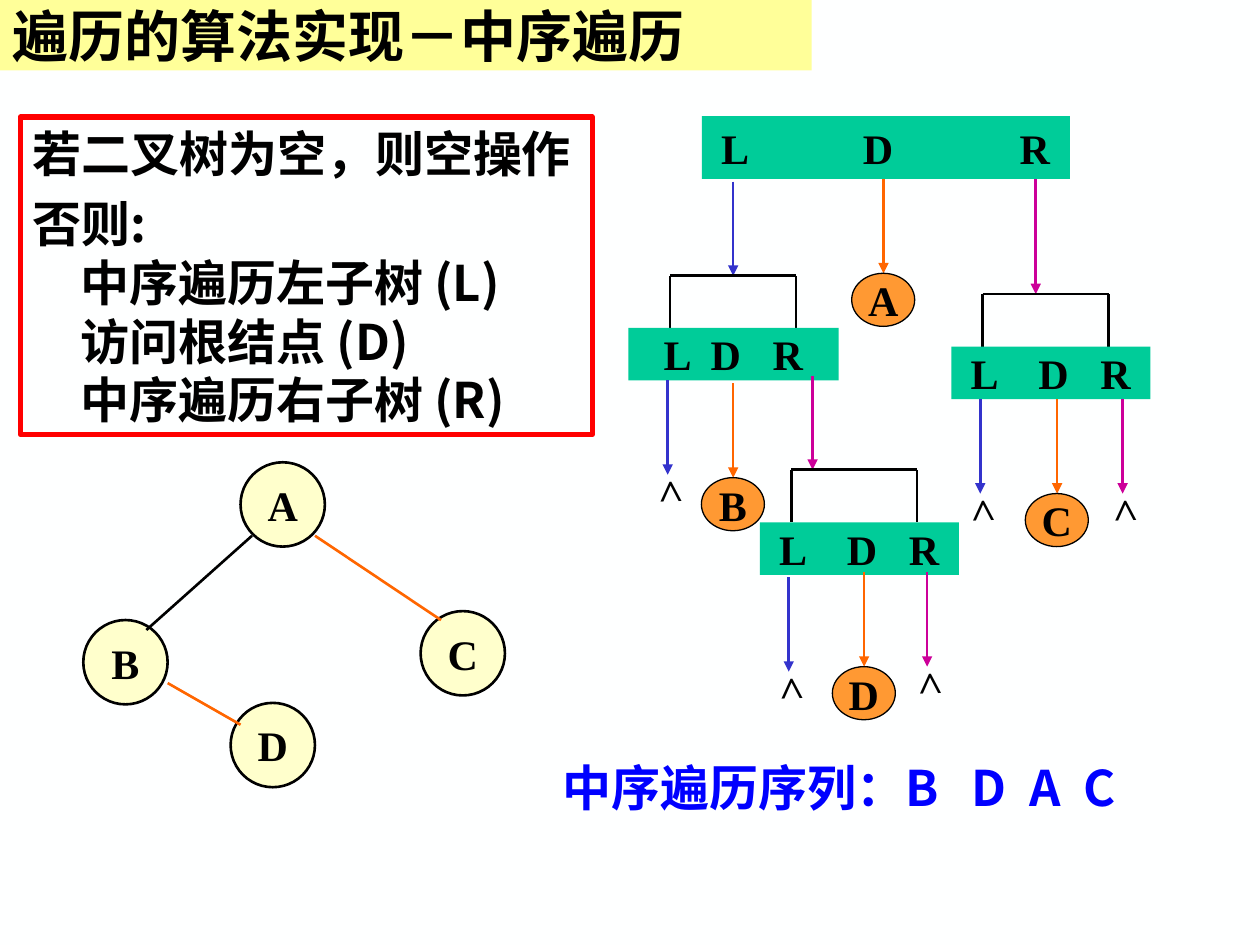
import pptx
import pptx.util
import pptx.dml.color
import pptx.enum.shapes
import pptx.enum.text
import pptx.oxml
import pptx.oxml.ns
from dataclasses import dataclass
from pptx.util import Cm

SHAPE = pptx.enum.shapes.MSO_SHAPE
ALIGN = pptx.enum.text.PP_ALIGN
ANCHOR = pptx.enum.text.MSO_ANCHOR


@dataclass(frozen=True)
class Theme:
    cjk: str = "Noto Sans CJK SC"
    latin: str = "Times New Roman"
    title: int = 32
    body: int = 28
    label: int = 24
    background: str = "FEFFFF"
    banner: str = "FFFF99"
    ink: str = "000000"
    frame: str = "FF0000"
    node: str = "FFFFCC"
    bar: str = "00CC99"
    visit: str = "FF9933"
    answer: str = "0000FF"
    left: str = "3333CC"
    root: str = "FF6600"
    right: str = "CC0099"


T = Theme()
ARROW = 1.9             # usual arrow length, cm
BRACKET = (2.54, 1.06)  # width and height, cm


def rgb(value):
    return pptx.dml.color.RGBColor.from_string(value)


def add_xml(parent, tag, **attrs):
    el = pptx.oxml.ns.qn(tag)
    child = parent.makeelement(el, attrs)
    parent.append(child)
    return child


def style_runs(p, font, size, color):
    for r in p.runs:
        r.font.name = font
        r.font.size = pptx.util.Pt(size)
        r.font.bold = True
        r.font.color.rgb = rgb(color)
        add_xml(r.font._element, "a:ea", typeface=font)


def set_tabs(p, stops, align):
    tabs = add_xml(p._p.get_or_add_pPr(), "a:tabLst")
    for stop in stops:
        add_xml(tabs, "a:tab", pos=str(Cm(stop)), algn=align)


def add_box(s, kind, x, y, w, h, fill=None, line=None, weight=0.75):
    sp = s.shapes.add_shape(kind, Cm(x), Cm(y), Cm(w), Cm(h))
    sp.shadow.inherit = False
    if fill:
        sp.fill.solid()
        sp.fill.fore_color.rgb = rgb(fill)
    else:
        sp.fill.background()
    if line:
        sp.line.color.rgb = rgb(line)
        sp.line.width = pptx.util.Pt(weight)
    else:
        sp.line.fill.background()
    return sp


def add_line(s, x1, y1, x2, y2, color=T.ink, arrow=False):
    c = s.shapes.add_connector(pptx.enum.shapes.MSO_CONNECTOR.STRAIGHT,
                               Cm(x1), Cm(y1), Cm(x2), Cm(y2))
    c.line.color.rgb = rgb(color)
    c.line.width = pptx.util.Pt(1.5)
    if arrow:
        add_xml(c.line._get_or_add_ln(), "a:tailEnd", type="triangle")
    add_xml(c._element.spPr, "a:effectLst")


def add_circle(s, label, x, y, w, h, fill, weight):
    sp = add_box(s, SHAPE.OVAL, x, y, w, h, fill, T.ink, weight)
    tf = sp.text_frame
    tf.text = label
    tf.word_wrap = False
    tf.vertical_anchor = ANCHOR.MIDDLE
    tf.paragraphs[0].alignment = ALIGN.CENTER
    style_runs(tf.paragraphs[0], T.latin, T.label, T.ink)


def add_bar(s, x, y, w, h, stops):
    """Bar holding L, D and R, each centred on its stop."""
    tf = add_box(s, SHAPE.RECTANGLE, x, y, w, h, T.bar).text_frame
    tf.margin_left = tf.margin_right = 0
    tf.word_wrap = True
    tf.vertical_anchor = ANCHOR.MIDDLE
    p = tf.paragraphs[0]
    p.text = "\tL\tD\tR"
    p.alignment = ALIGN.LEFT
    set_tabs(p, stops, "ctr")
    style_runs(p, T.latin, T.label, T.ink)


def add_bracket(s, x, y):
    w, h = BRACKET
    add_line(s, x, y, x + w, y)
    for side in (x, x + w):
        add_line(s, side, y, side, y + h)


def add_visit(s, label, x, y):
    add_line(s, x, y, x, y + ARROW, T.root, arrow=True)
    add_circle(s, label, x - 0.64, y + ARROW, 1.27, 1.07, T.visit, 0.75)


def add_empty(s, x, y, color):
    """Arrow to an empty subtree, marked by a turned > sign."""
    add_line(s, x, y, x, y + ARROW, color, arrow=True)
    sp = s.shapes.add_textbox(Cm(x - 0.53), Cm(y + ARROW - 0.33),
                              Cm(1.07), Cm(1.27))
    sp.rotation = 268.3
    tf = sp.text_frame
    tf.word_wrap = True
    tf.text = ">"
    style_runs(tf.paragraphs[0], T.latin, T.label, T.ink)


def add_title(s):
    sp = s.shapes.title
    sp.left, sp.top, sp.width, sp.height = Cm(0), Cm(0), Cm(16.36), Cm(1.42)
    sp.fill.solid()
    sp.fill.fore_color.rgb = rgb(T.banner)
    tf = sp.text_frame
    tf.text = "遍历的算法实现－中序遍历"
    tf.vertical_anchor = ANCHOR.MIDDLE
    tf.paragraphs[0].alignment = ALIGN.LEFT
    style_runs(tf.paragraphs[0], T.cjk, T.title, T.ink)


def add_algorithm(s):
    tf = add_box(s, SHAPE.RECTANGLE, 0.41, 2.36, 11.53, 6.4,
                 line=T.frame, weight=3).text_frame
    tf.word_wrap = True
    tf.vertical_anchor = ANCHOR.TOP
    tf.text = ("若二叉树为空，则空操作\n"
               "否则:\v中序遍历左子树 (L)\v访问根结点 (D)\v中序遍历右子树 (R)")
    for p in tf.paragraphs:
        p.alignment = ALIGN.LEFT
        p.line_spacing = pptx.util.Pt(33.5)
        pPr = p._p.get_or_add_pPr()
        pPr.set("marL", str(Cm(0.97)))
        pPr.set("indent", str(Cm(-0.97)))
        style_runs(p, T.cjk, T.body, T.ink)
    tf.paragraphs[1].space_before = pptx.util.Pt(7)


def add_tree(s):
    for label, x, y in (("A", 4.85, 9.32), ("D", 4.65, 14.17),
                        ("B", 1.68, 12.5), ("C", 8.48, 12.32)):
        add_circle(s, label, x, y, 1.7, 1.7, T.node, 1.5)
    add_line(s, 5.08, 10.8, 2.95, 12.7)
    add_line(s, 6.35, 10.8, 8.89, 12.5, T.root)
    add_line(s, 3.38, 13.77, 4.85, 14.61, T.root)


def add_trace(s):
    small = (0.67, 2.06, 3.31)
    # Call on A
    add_bar(s, 14.15, 2.34, 7.42, 1.27, (0.67, 3.55, 6.71))
    add_line(s, 14.78, 3.66, 14.78, 5.56, T.left, arrow=True)
    add_visit(s, "A", 17.81, 3.61)
    add_line(s, 20.88, 3.61, 20.88, 5.93, T.right, arrow=True)
    # Call on B
    add_bracket(s, 13.51, 5.56)
    add_bar(s, 12.67, 6.61, 4.24, 1.06, (0.99, 1.96, 3.21))
    add_empty(s, 13.46, 7.67, T.left)
    add_visit(s, "B", 14.78, 7.73)
    add_line(s, 16.38, 7.57, 16.38, 9.47, T.right, arrow=True)
    # Call on D
    add_bracket(s, 15.95, 9.47)
    add_bar(s, 15.32, 10.53, 4.01, 1.06, small)
    add_empty(s, 15.9, 11.64, T.left)
    add_visit(s, "D", 17.42, 11.54)
    add_empty(s, 18.69, 11.54, T.right)
    # Call on C
    add_bracket(s, 19.81, 5.93)
    add_bar(s, 19.18, 6.99, 4.01, 1.06, small)
    add_empty(s, 19.76, 8.05, T.left)
    add_visit(s, "C", 21.31, 8.05)
    add_empty(s, 22.63, 8.05, T.right)


def add_answer(s):
    sp = s.shapes.add_textbox(Cm(11.1), Cm(15.16), Cm(13.39), Cm(1.45))
    tf = sp.text_frame
    tf.word_wrap = True
    p = tf.paragraphs[0]
    p.text = "中序遍历序列：B\tD\tA\tC"
    p.line_spacing = pptx.util.Pt(33.5)
    set_tabs(p, (8.23, 9.4, 10.5), "l")
    style_runs(p, T.cjk, T.body, T.answer)


def main():
    prs = pptx.Presentation()
    prs.slide_width, prs.slide_height = Cm(25.4), Cm(19.05)
    s = prs.slides.add_slide(prs.slide_layouts[5])
    s.background.fill.solid()
    s.background.fill.fore_color.rgb = rgb(T.background)
    add_title(s)
    add_algorithm(s)
    add_tree(s)
    add_trace(s)
    add_answer(s)
    prs.save("out.pptx")


if __name__ == "__main__":
    main()
